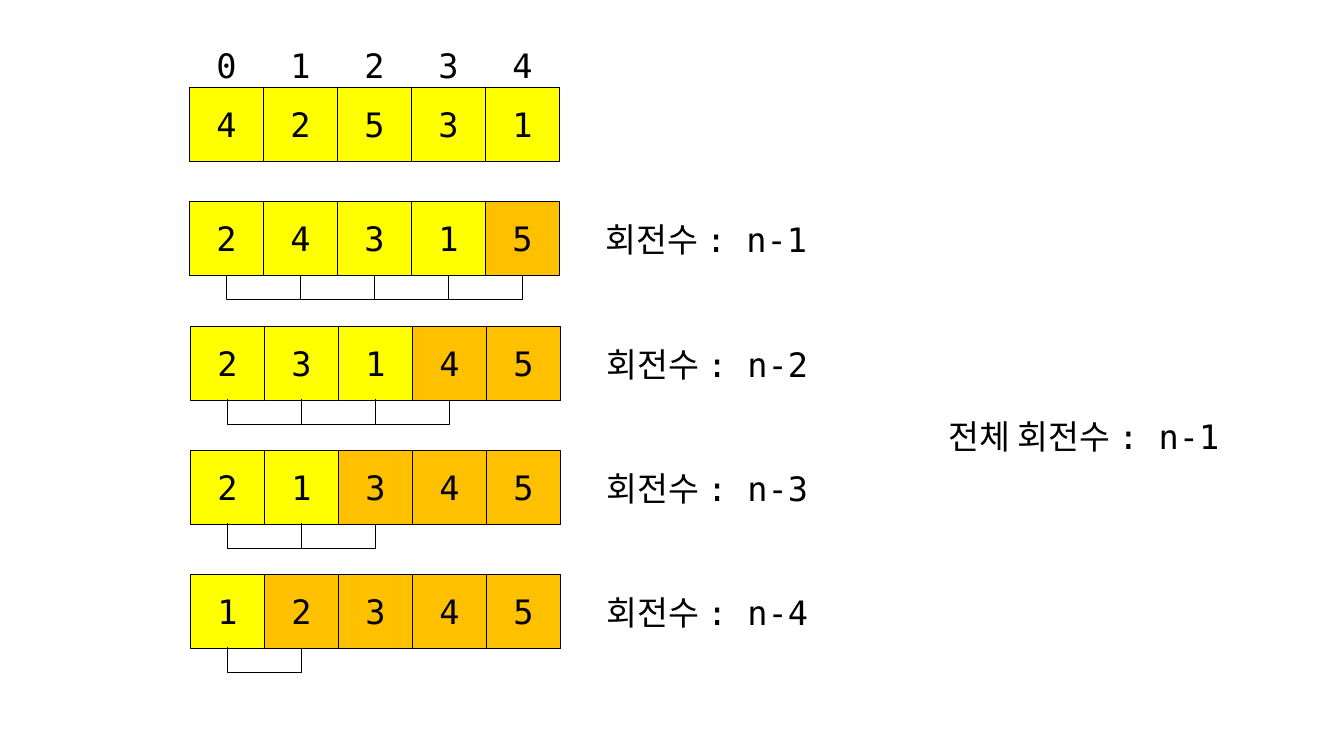
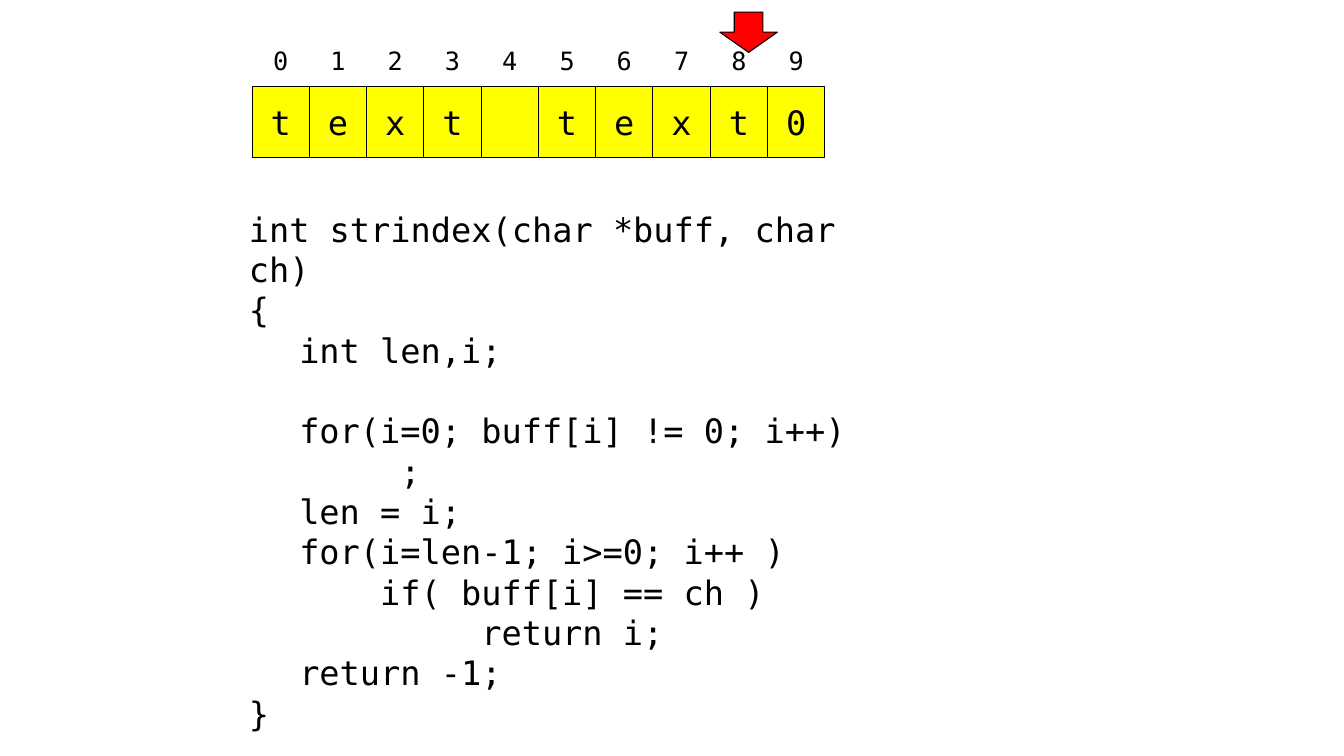
from lxml import etree
from pptx import Presentation
from pptx import util as u
from pptx.dml.color import RGBColor
from pptx.enum import shapes, text
from pptx.oxml.ns import qn

PX = 9144  # 100 px to the inch
FONT = "DejaVu Sans Mono"
BLACK, YELLOW, ORANGE, RED = "000000", "FFFF00", "FFC000", "FF0000"

# Bubble sort: left, top, values, number of sorted cells at the end
START = (188, 87, "42531")
PASSES = [
    (188, 200, "24315", 1),
    (189, 324, "23145", 2),
    (189, 447, "21345", 3),
    (189, 570, "12345", 4),
]
SORT_ROW_W, SORT_CELL_H = 367, 73
TOTAL = "전체 회전수 : n-1"

# String search: the buffer and its code as (level, line)
BUFFER = "text text0"
BUFFER_X, BUFFER_Y, BUFFER_W, BUFFER_H = 250, 86, 568, 70
CODE = [
    (0, "int strindex(char *buff, char ch)"),
    (0, "{"),
    (1, "int len,i;"),
    (1, ""),
    (1, "for(i=0; buff[i] != 0; i++)"),
    (1, "     ;"),
    (1, "len = i;"),
    (1, "for(i=len-1; i>=0; i++ )"),
    (1, "    if( buff[i] == ch )"),
    (1, "         return i;"),
    (1, "return -1;"),
    (0, "}"),
]


def px(n):
    return u.Emu(round(n * PX))


def color(hex_value):
    return RGBColor.from_string(hex_value)


def style(p, size=24, align=None):
    p.alignment = align
    p.font.name, p.font.size = FONT, u.Pt(size)
    p.font.color.rgb = color(BLACK)


def add_box(s, kind, x, y, w, h, fill):
    sp = s.shapes.add_shape(kind, px(x), px(y), px(w), px(h))
    sp.shadow.inherit = False
    sp.fill.solid()
    sp.fill.fore_color.rgb = color(fill)
    sp.line.color.rgb = color(BLACK)
    sp.line.width = u.Pt(0.75)
    return sp


def add_text(s, x, y, w, h, lines, wrap=False):
    """Left-aligned text box; lines are (level, text) pairs."""
    sp = s.shapes.add_textbox(px(x), px(y), px(w), px(h))
    tf = sp.text_frame
    tf.word_wrap = wrap
    tf.auto_size = text.MSO_AUTO_SIZE.SHAPE_TO_FIT_TEXT
    for i, (level, line) in enumerate(lines):
        p = tf.add_paragraph() if i else tf.paragraphs[0]
        p.text, p.level = line, level
        if level:
            p_pr = p._p.get_or_add_pPr()
            p_pr.set("marL", str(px(50 * level)))
            p_pr.set("indent", "0")
        style(p)


def center_text(sp, value, size):
    tf = sp.text_frame
    tf.word_wrap = True
    tf.vertical_anchor = text.MSO_ANCHOR.MIDDLE
    p = tf.paragraphs[0]
    p.text = value
    style(p, size, text.PP_ALIGN.CENTER)


def add_cells(s, x, y, row_w, h, values, done=0):
    """Row of equal cells; the last `done` cells are orange."""
    n, w = len(values), row_w / len(values)
    cells = []
    for i, value in enumerate(values):
        fill = ORANGE if i >= n - done else YELLOW
        sp = add_box(s, shapes.MSO_SHAPE.RECTANGLE, x + i * w, y, w, h, fill)
        if value.strip():
            center_text(sp, value, 24)
        cells.append(sp)
    return cells


def add_indices(s, x, y, row_w, h, n, size):
    w = row_w / n
    for i in range(n):
        sp = s.shapes.add_textbox(px(x + i * w), px(y), px(w), px(h))
        center_text(sp, str(i), size)


def add_bracket(s, a, b):
    """Elbow connector that joins the bottoms of two neighbouring cells."""
    cn = s.shapes.add_connector(shapes.MSO_CONNECTOR.ELBOW, 0, 0, 0, 0)
    cn.begin_connect(a, 2)
    cn.end_connect(b, 2)
    # A thin box turned by 270 degrees, bent 18 times its width (25 px) away
    thin, span = u.Pt(1), b.left - a.left
    middle, bottom = b.left, a.top + a.height
    cn.left, cn.top = middle - thin // 2, bottom - span // 2
    cn.width, cn.height = thin, span
    sp_pr = cn._element.spPr
    xfrm = sp_pr.find(qn("a:xfrm"))
    for flip in ("flipH", "flipV"):
        xfrm.attrib.pop(flip, None)
    xfrm.set("rot", "16200000")
    xfrm.set("flipH", "1")
    guides = sp_pr.find(qn("a:prstGeom")).find(qn("a:avLst"))
    etree.SubElement(guides, qn("a:gd"), name="adj1", fmla="val 1800000")
    cn.line.color.rgb = color(BLACK)
    cn.line.width = u.Pt(0.5)
    etree.SubElement(sp_pr, qn("a:effectLst"))


def sort_slide(s):
    x, y, values = START
    add_cells(s, x, y, SORT_ROW_W, SORT_CELL_H, values)
    add_indices(s, x, y - 59, SORT_ROW_W, SORT_CELL_H, len(values), 24)
    for x, y, values, done in PASSES:
        cells = add_cells(s, x, y, SORT_ROW_W, SORT_CELL_H, values, done)
        compared = cells[:len(cells) - done + 1]
        for a, b in zip(compared, compared[1:]):
            add_bracket(s, a, b)
        add_text(s, x + 403, y + 12, 233, 50, [(0, f"회전수 : n-{done}")])
    add_text(s, 931, 408, 319, 50, [(0, TOTAL)])


def search_slide(s):
    add_cells(s, BUFFER_X, BUFFER_Y, BUFFER_W, BUFFER_H, BUFFER)
    add_indices(s, BUFFER_X, BUFFER_Y - 61, BUFFER_W, BUFFER_H, len(BUFFER), 18)
    add_text(s, 237, 202, 633, 495, CODE, wrap=True)
    add_box(s, shapes.MSO_SHAPE.DOWN_ARROW, 714, 12, 57, 40, RED)


def main():
    prs = Presentation()
    prs.slide_width, prs.slide_height = u.Inches(13.33), u.Inches(7.5)
    for build in (sort_slide, search_slide):
        build(prs.slides.add_slide(prs.slide_layouts[6]))
    prs.save("out.pptx")


if __name__ == "__main__":
    main()
